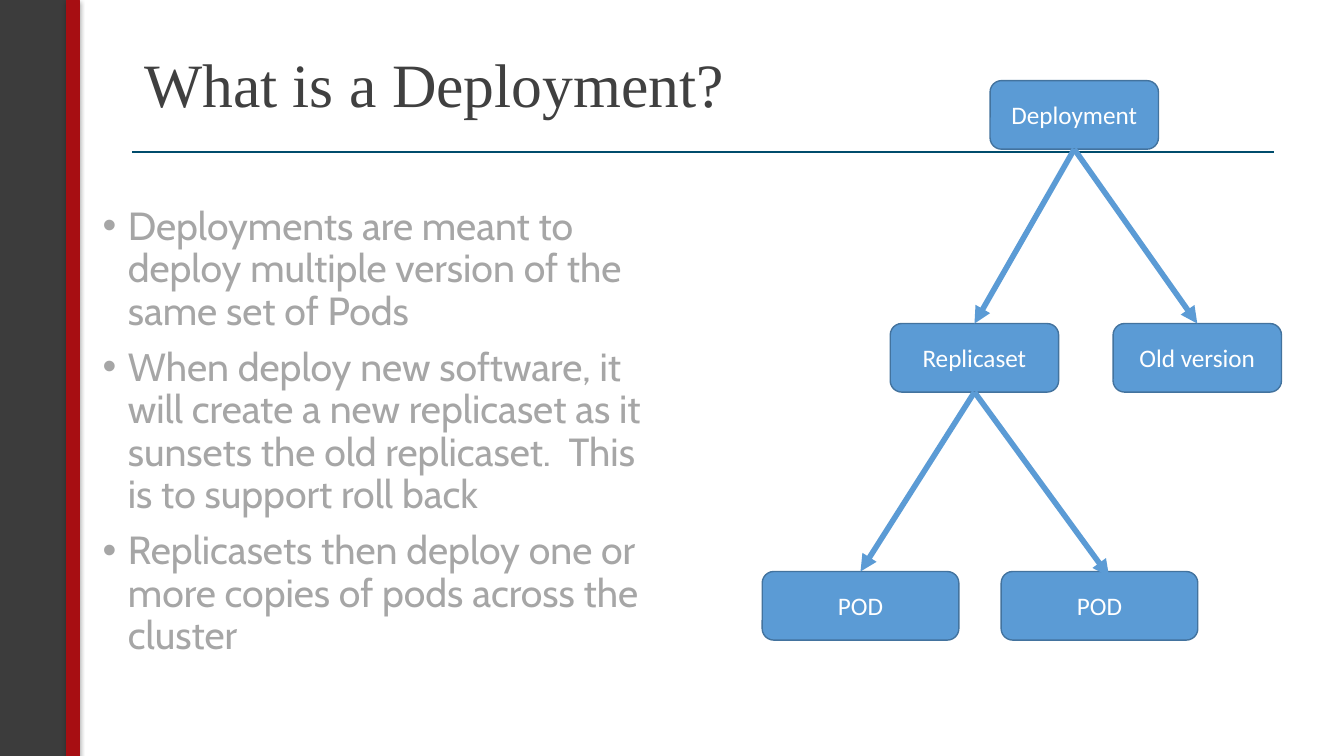
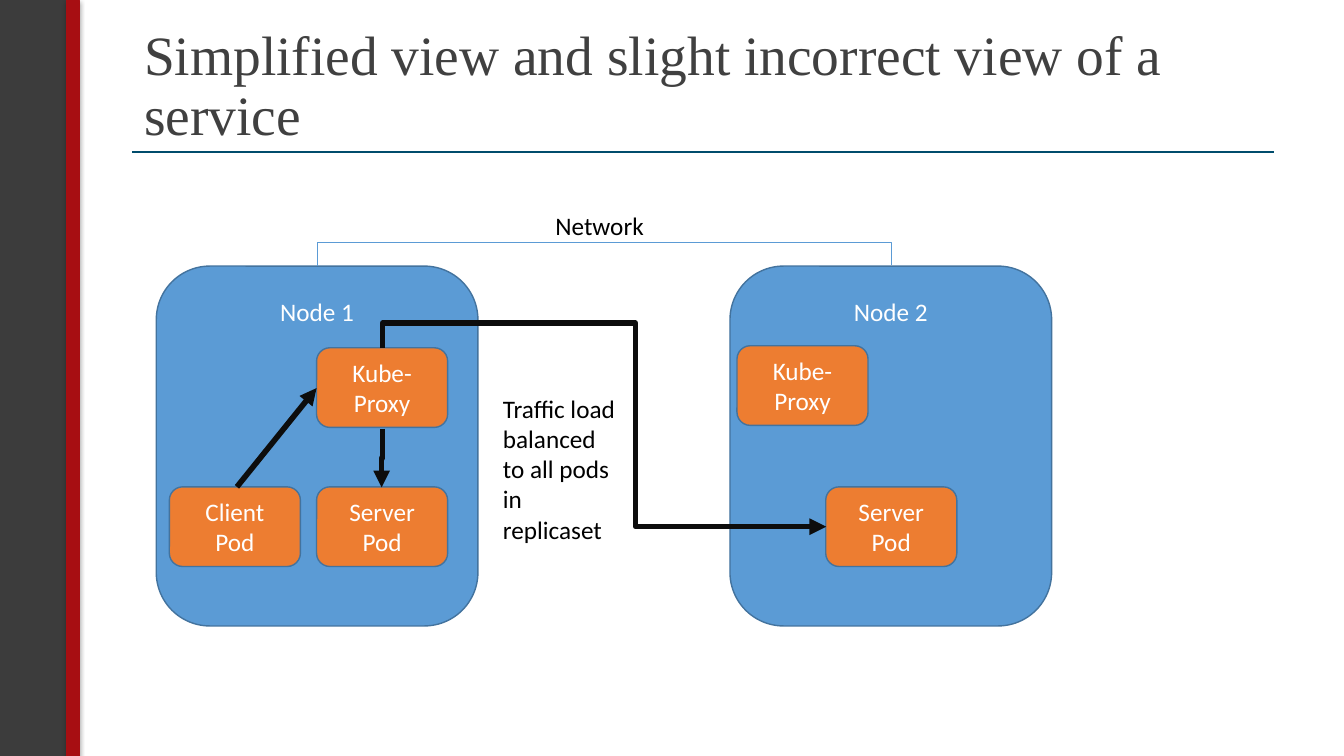
import pptx
import pptx.util
import pptx.dml.color
import pptx.enum.shapes
import pptx.enum.text
import pptx.oxml
import pptx.oxml.ns
from lxml import etree

Inches = pptx.util.Inches
Pt = pptx.util.Pt
SHAPE = pptx.enum.shapes.MSO_SHAPE
CONNECTOR = pptx.enum.shapes.MSO_CONNECTOR
ANCHOR = pptx.enum.text.MSO_ANCHOR
ALIGN = pptx.enum.text.PP_ALIGN

COLORS = {
    "band": "3C3C3C", "accent": "A70E12", "rule": "004C6C", "title": "404040",
    "body": "A6A6A6", "blue": "5B9BD5", "outline": "43739E", "orange": "ED7D31",
    "arrow": "0D0D0D", "white": "FFFFFF", "black": "000000",
}
TITLE_FONT, BODY_FONT, LABEL_FONT = "Times New Roman", "Cabin", "Calibri"


def color(name):
    return pptx.dml.color.RGBColor.from_string(COLORS[name])


def add_xml(parent, tag, **attributes):
    child = etree.SubElement(parent, pptx.oxml.ns.qn(tag))
    for name, value in attributes.items():
        child.set(name, str(value))
    return child


# Text

def write(frame, text, font=LABEL_FONT, size=18, ink="black", align=ALIGN.LEFT,
          anchor=ANCHOR.TOP, line_spacing=None, space_before=None, bullet=None):
    """Fill a text frame; each line of text becomes a paragraph."""
    frame.word_wrap = True
    frame.auto_size = pptx.enum.text.MSO_AUTO_SIZE.NONE
    frame.vertical_anchor = anchor
    for index, line in enumerate(text.split("\n")):
        para = frame.add_paragraph() if index else frame.paragraphs[0]
        para.alignment = align
        if line_spacing:
            para.line_spacing = line_spacing
        if space_before:
            para.space_before = Pt(space_before)
        if bullet:
            properties = para._p.get_or_add_pPr()
            properties.set("marL", str(Inches(0.25)))
            properties.set("indent", str(-Inches(0.25)))
            add_xml(properties, "a:buFont", typeface="Arial")
            add_xml(properties, "a:buChar", char=bullet)
        span = para.add_run()
        span.text = line
        span.font.name = font
        span.font.size = Pt(size)
        span.font.color.rgb = color(ink)


def add_text(page, box, text, **style):
    shape = page.shapes.add_textbox(*map(Inches, box))
    write(shape.text_frame, text, **style)
    return shape


# Shapes and lines

def add_block(page, box, fill, kind=SHAPE.ROUNDED_RECTANGLE, outline="outline", weight=1):
    shape = page.shapes.add_shape(kind, *map(Inches, box))
    shape.shadow.inherit = False
    shape.fill.solid()
    shape.fill.fore_color.rgb = color(fill)
    shape.line.color.rgb = color(outline)
    shape.line.width = Pt(weight)
    return shape


def add_label_block(page, box, text, fill="blue"):
    shape = add_block(page, box, fill)
    write(shape.text_frame, text, ink="white", align=ALIGN.CENTER, anchor=ANCHOR.MIDDLE)
    return shape


def style_line(line, ink, weight, arrow):
    line.line.color.rgb = color(ink)
    line.line.width = Pt(weight)
    if arrow:
        add_xml(line.line._get_or_add_ln(), "a:tailEnd", type="triangle")
    add_xml(line._element.spPr, "a:effectLst")


def add_line(page, start, end, ink, weight=4, arrow=True):
    line = page.shapes.add_connector(CONNECTOR.STRAIGHT, *map(Inches, (*start, *end)))
    style_line(line, ink, weight, arrow)


def add_elbow(page, box, bends, turn, flips="", ink="arrow", weight=4, arrow=True):
    """Bent line in an unrotated box; bends are fractions of its sides."""
    left, top, width, height = box
    line = page.shapes.add_connector(
        CONNECTOR.ELBOW, *map(Inches, (left, top, left + width, top + height)))
    properties = line._element.spPr
    frame = properties.find(pptx.oxml.ns.qn("a:xfrm"))
    frame.set("rot", str(turn * 60000))
    for flip in flips:
        frame.set("flip" + flip, "1")
    geometry = properties.find(pptx.oxml.ns.qn("a:prstGeom"))
    geometry.set("prst", f"bentConnector{len(bends) + 2}")
    guides = geometry.find(pptx.oxml.ns.qn("a:avLst"))
    if guides is None:
        guides = add_xml(geometry, "a:avLst")
    for number, bend in enumerate(bends, 1):
        add_xml(guides, "a:gd", name=f"adj{number}" if len(bends) > 1 else "adj1",
                fmla=f"val {round(bend * 100000)}")
    style_line(line, ink, weight, arrow)


def top_of(box):
    return box[0] + box[2] / 2, box[1]


def bottom_of(box):
    return box[0] + box[2] / 2, box[1] + box[3]


# Parts shared by the slides

def add_band(page, box, fill):
    band = add_block(page, box, fill, SHAPE.RECTANGLE, outline=fill, weight=0.5)
    effects = band._element.spPr.find(pptx.oxml.ns.qn("a:effectLst"))
    shadow = add_xml(effects, "a:outerShdw", blurRad=Pt(3.1), dist=Pt(1.8),
                     dir=90 * 60000, rotWithShape=0)
    add_xml(add_xml(shadow, "a:srgbClr", val=COLORS["black"]), "a:alpha", val=35000)


def add_page(deck, title, size):
    page = deck.slides.add_slide(deck.slide_layouts[5])
    add_line(page, (1.31, 1.51), (12.64, 1.51), "rule", weight=1, arrow=False)
    add_band(page, (0, 0, 0.67, 7.5), "band")
    add_band(page, (0.66, 0, 0.13, 7.5), "accent")
    heading = page.shapes.title
    heading.left, heading.top, heading.width, heading.height = map(
        Inches, (1.33, 0.4, 11.33, 0.93))
    write(heading.text_frame, title, font=TITLE_FONT, size=size, ink="title",
          anchor=ANCHOR.MIDDLE, line_spacing=0.9)
    return page


# Deployment slide

def add_deployment_tree(page, left, top):
    def place(x, y, width):
        return left + x, top + y, width, 0.68

    boxes = {
        "deployment": (place(2.26, 0, 1.67), "Deployment"),
        "replicaset": (place(1.27, 2.41, 1.67), "Replicaset"),
        "old": (place(3.48, 2.41, 1.67), "Old version"),
        "first pod": (place(0, 4.87, 1.95), "POD"),
        "second pod": (place(2.37, 4.87, 1.95), "POD"),
    }
    for box, text in boxes.values():
        add_label_block(page, box, text)
    links = [("deployment", "replicaset"), ("deployment", "old"),
             ("replicaset", "first pod")]
    for parent, child in links:
        add_line(page, bottom_of(boxes[parent][0]), top_of(boxes[child][0]), "blue")
    add_line(page, bottom_of(boxes["replicaset"][0]), (left + 3.44, top + 4.92), "blue")


def build_deployment(deck):
    page = add_page(deck, "What is a Deployment?", 44)
    add_text(page, (0.92, 2, 5.65, 4.76),
             "Deployments are meant to deploy multiple version of the same set of Pods\n"
             "When deploy new software, it will create a new replicaset as it sunsets "
             "the old replicaset.  This is to support roll back\n"
             "Replicasets then deploy one or more copies of pods across the cluster",
             font=BODY_FONT, size=28, ink="body", line_spacing=0.9, space_before=10,
             bullet="\u2022")
    add_deployment_tree(page, 7.56, 0.8)


# Service slide

def add_node(page, left, top, name, pods):
    """A node and its pods, given as (text, x, y) from the node's corner."""
    node = add_block(page, (left, top, 3.19, 3.57), "blue")
    write(node.text_frame, name, ink="white", align=ALIGN.CENTER)
    node.text_frame.margin_top = Inches(0.14)
    for text, x, y in pods:
        add_label_block(page, (left + x, top + y, 1.3, 0.79), text, "orange")


def add_traffic(page):
    add_elbow(page, (5.99, -0.21, 0.01, 5.69), [24], 90, "HV", "blue", 0.5, arrow=False)
    add_line(page, (2.35, 4.83), (3.14, 3.85), "arrow")
    add_elbow(page, (5.11, 2.14, 1.77, 4.4), [-0.14, 0.57], 270, "H")
    add_elbow(page, (3.5, 4.54, 0.58, 0.01), [0.5], 90)


def build_service(deck):
    page = add_page(deck, "Simplified view and slight incorrect view of a service", 39.6)
    add_node(page, 1.55, 2.64, "Node 1", [
        ("Client Pod", 0.13, 2.19), ("Server Pod", 1.59, 2.19), ("Kube-Proxy", 1.59, 0.81)])
    add_node(page, 7.24, 2.64, "Node 2", [
        ("Server Pod", 0.95, 2.19), ("Kube-Proxy", 0.07, 0.79)])
    add_traffic(page)
    add_text(page, (5.41, 2.04, 1.62, 0.41), "Network")
    add_text(page, (4.89, 3.85, 1.34, 1.62), "Traffic load balanced to all pods in replicaset")


deck = pptx.Presentation()
deck.slide_width, deck.slide_height = Inches(13.33), Inches(7.5)
build_deployment(deck)
build_service(deck)
deck.save("out.pptx")
